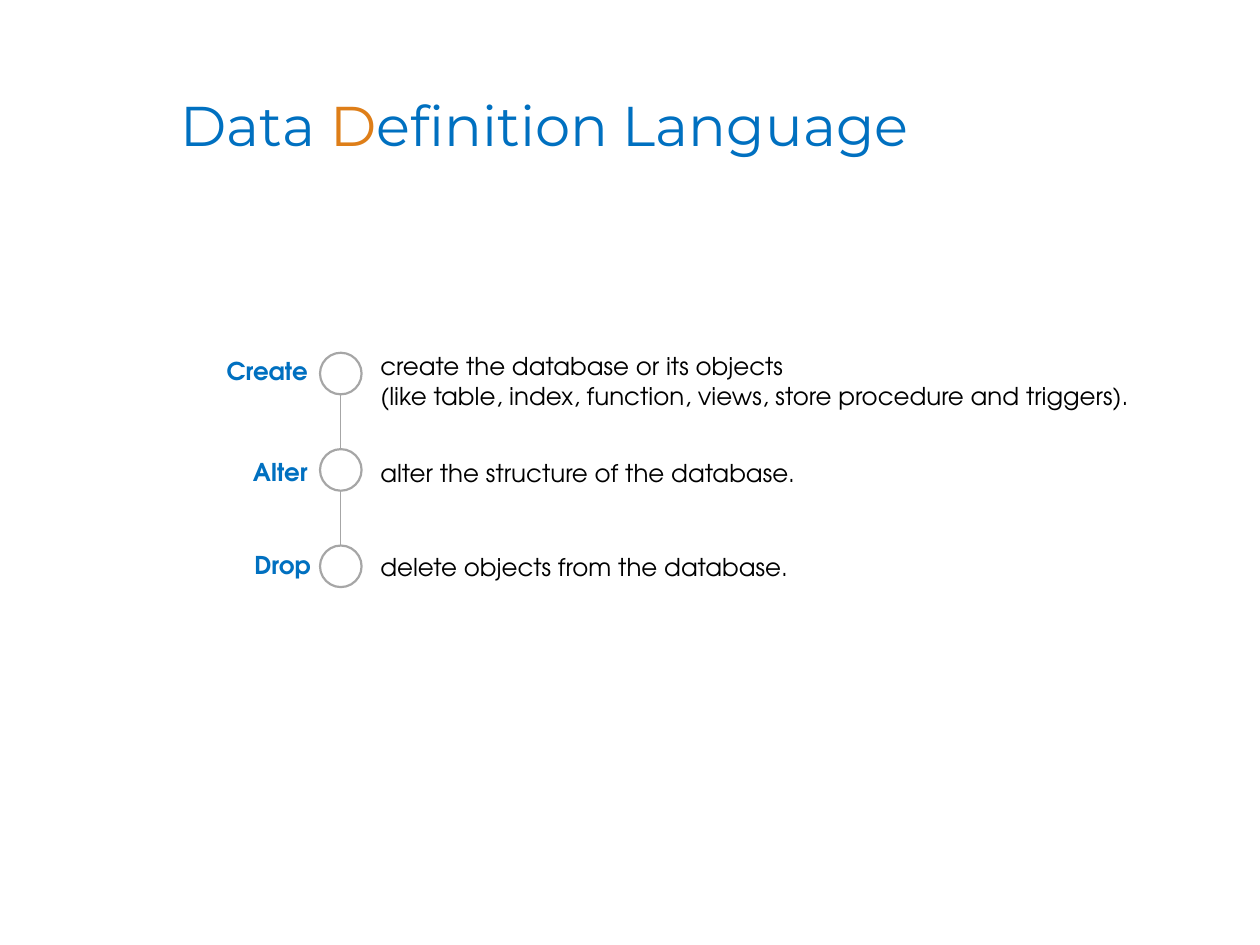
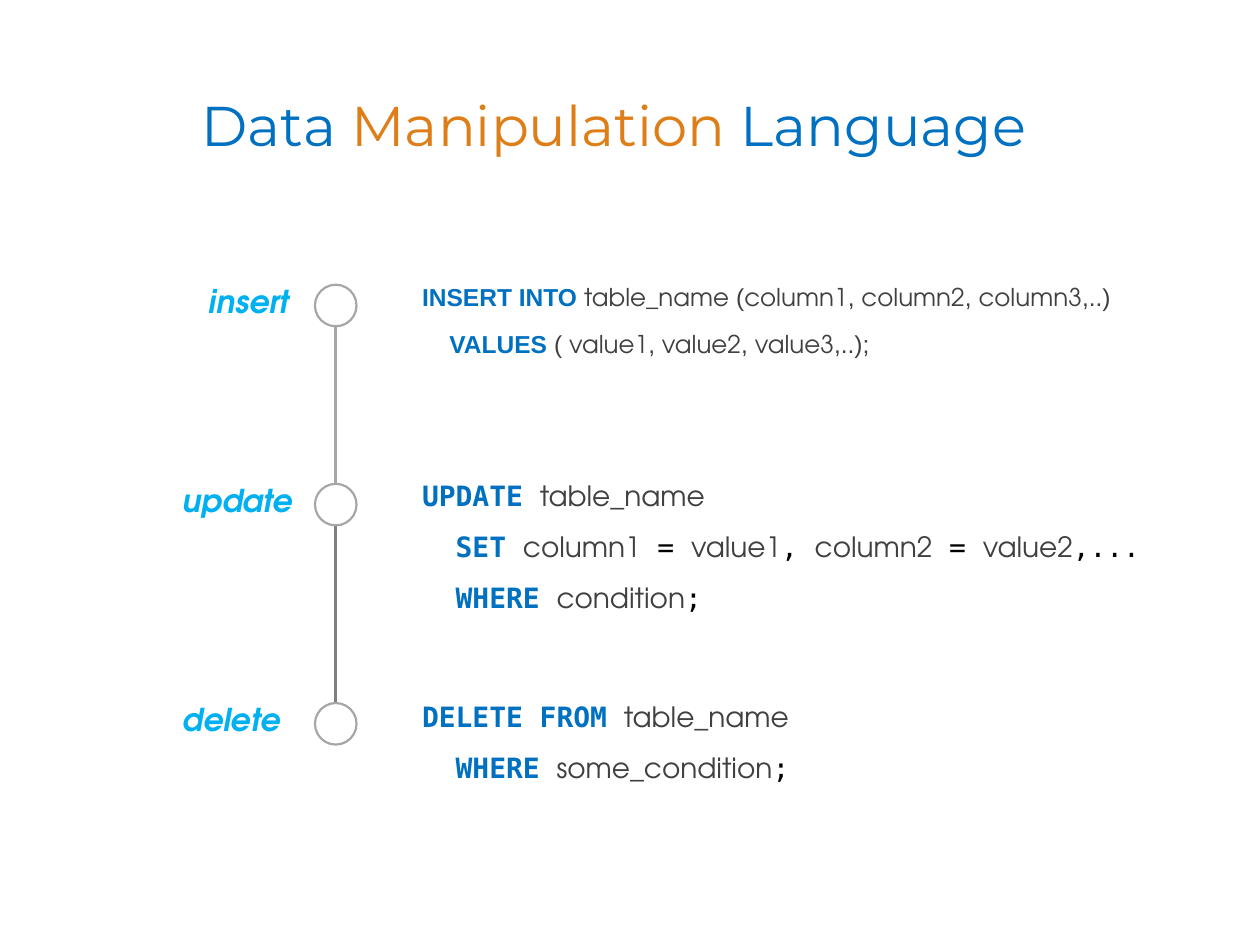
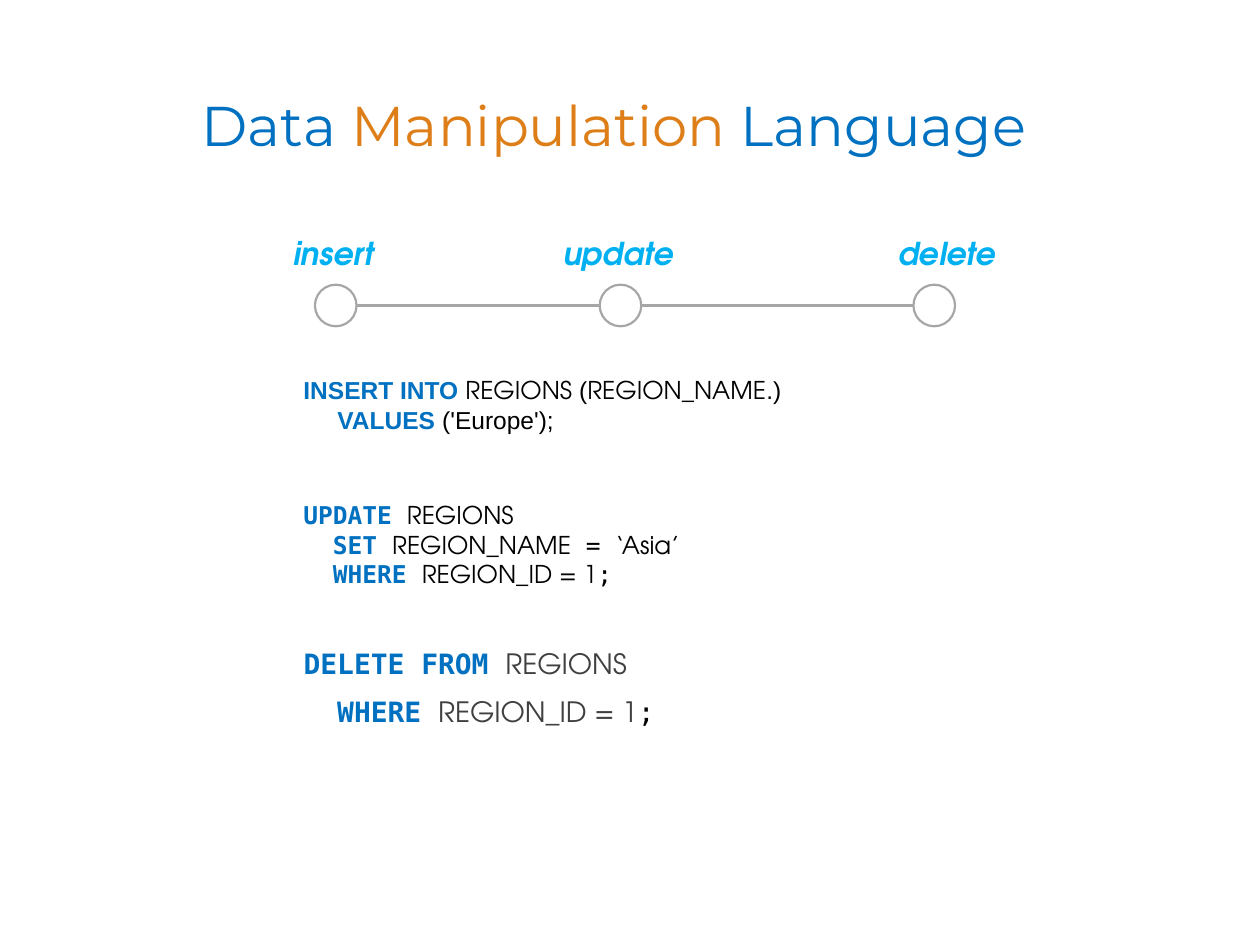
from collections import namedtuple

from lxml.etree import SubElement
from pptx import Presentation
from pptx.dml.color import RGBColor
from pptx.enum.shapes import MSO_CONNECTOR, MSO_SHAPE
from pptx.enum.text import MSO_ANCHOR, MSO_AUTO_SIZE, PP_ALIGN
from pptx.oxml.ns import qn
from pptx.util import Inches, Pt

# Shared colours, fonts and sizes
WHITE = RGBColor(0xFF, 0xFF, 0xFF)
BLACK = RGBColor(0x00, 0x00, 0x00)
DARK_GRAY = RGBColor(0x40, 0x40, 0x40)
MID_GRAY = RGBColor(0x7F, 0x7F, 0x7F)
LIGHT_GRAY = RGBColor(0xA6, 0xA6, 0xA6)
BLUE = RGBColor(0x00, 0x70, 0xC0)
SKY = RGBColor(0x00, 0xB0, 0xF0)
ORANGE = RGBColor(0xDE, 0x7E, 0x18)
TITLE_FONT = "Montserrat"
TEXT_FONT = "TeX Gyre Adventor"
SANS = "Arial"
MONO = "DejaVu Sans Mono"
NODE_SIZE = 0.33
HANG = 0.38

Box = namedtuple("Box", "left top width height")
# face is used for keywords and marks; gap is the space before the block
Code = namedtuple("Code", "face size name_color mark_color gap lines")
KEY, NAME, MARK = "key", "name", "mark"

DML_TITLE = [("Data ", BLUE), ("Manipulation", ORANGE), (" Language", BLUE)]
DML_TITLE_BOX = Box(1.5, 0.67, 7.21, 0.73)

INSERT_SYNTAX = Code(SANS, 14, DARK_GRAY, DARK_GRAY, 0, [
    [(KEY, "INSERT INTO "), (NAME, "table_name"), (MARK, " ("), (NAME, "column1"),
     (MARK, ", "), (NAME, "column2"), (MARK, ", "), (NAME, "column3"), (MARK, ",..)")],
    [(KEY, "    VALUES "), (MARK, "( "), (NAME, "value1"), (MARK, ", "),
     (NAME, "value2"), (MARK, ", "), (NAME, "value3"), (MARK, ",..);")],
])
UPDATE_SYNTAX = Code(MONO, 16, DARK_GRAY, BLACK, 68.5, [
    [(KEY, "UPDATE "), (NAME, "table_name")],
    [(KEY, "  SET "), (NAME, "column1"), (MARK, " = "), (NAME, "value1"),
     (MARK, ", "), (NAME, "column2"), (MARK, " = "), (NAME, "value2"), (MARK, ",...")],
    [(KEY, "  WHERE "), (NAME, "condition"), (MARK, ";")],
])
DELETE_SYNTAX = Code(MONO, 16, DARK_GRAY, BLACK, 48.5, [
    [(KEY, "DELETE FROM "), (NAME, "table_name")],
    [(KEY, "  WHERE "), (NAME, "some_condition"), (MARK, ";")],
])
INSERT_EXAMPLE = Code(SANS, 14, BLACK, BLACK, 0, [
    [(KEY, "INSERT INTO "), (NAME, "REGIONS"), (MARK, " ("),
     (NAME, "REGION_NAME"), (MARK, ".)")],
    [(KEY, "     VALUES "), (MARK, "('Europe');")],
])
UPDATE_EXAMPLE = Code(MONO, 14, BLACK, BLACK, 0, [
    [(KEY, "UPDATE "), (NAME, "REGIONS")],
    [(KEY, "  SET "), (NAME, "REGION_NAME"), (MARK, " = "), (NAME, "‘Asia’")],
    [(KEY, "  WHERE "), (NAME, "REGION_ID = 1"), (MARK, ";")],
])
DELETE_EXAMPLE = Code(MONO, 16, DARK_GRAY, BLACK, 0, [
    [(KEY, "DELETE FROM "), (NAME, "REGIONS")],
    [(KEY, "  WHERE "), (NAME, "REGION_ID = 1"), (MARK, ";")],
])


def style(font, face, size, color, bold=False, italic=False):
    font.name, font.size = face, Pt(size)
    font.bold, font.italic = bold, italic
    font.color.rgb = color


def add_span(para, text, face, size, color, bold=False):
    span = para.add_run()
    span.text = text
    style(span.font, face, size, color, bold)


def place(shape, box):
    shape.left, shape.top, shape.width, shape.height = map(Inches, box)


def prepare_placeholder(holder, box):
    place(holder, box)
    frame = holder.text_frame
    frame.auto_size = MSO_AUTO_SIZE.NONE
    frame.vertical_anchor = MSO_ANCHOR.TOP
    frame.word_wrap = True
    return frame


def add_title(slide, box, parts):
    para = prepare_placeholder(slide.shapes.title, box).paragraphs[0]
    para.alignment = PP_ALIGN.LEFT
    for text, color in parts:
        add_span(para, text, TITLE_FONT, 32, color)


def add_text_frame(slide, box):
    frame = slide.shapes.add_textbox(*map(Inches, box)).text_frame
    frame.word_wrap = True
    frame.auto_size = MSO_AUTO_SIZE.SHAPE_TO_FIT_TEXT
    return frame


def add_text(slide, box, text, size, color, bold=False, italic=False):
    frame = add_text_frame(slide, box)
    frame.text = text
    for para in frame.paragraphs:
        for span in para.runs:
            style(span.font, TEXT_FONT, size, color, bold, italic)


def add_command(slide, box, name):
    add_text(slide, box, name, 18, SKY, bold=True, italic=True)


def add_node(slide, left, top):
    node = slide.shapes.add_shape(MSO_SHAPE.FLOWCHART_CONNECTOR,
                                  *map(Inches, (left, top, NODE_SIZE, NODE_SIZE)))
    node.shadow.inherit = False
    node.fill.solid()
    node.fill.fore_color.rgb = WHITE
    node.line.color.rgb = LIGHT_GRAY
    node.line.width = Pt(1.25)


def add_line(slide, start, end, color=LIGHT_GRAY, width=1.5):
    line = slide.shapes.add_connector(MSO_CONNECTOR.STRAIGHT,
                                      *map(Inches, (*start, *end)))
    line.line.color.rgb = color
    line.line.width = Pt(width)
    SubElement(line._element.spPr, qn("a:effectLst"))


def write_code(frame, blocks, line_gap=0):
    """Write the code blocks, one paragraph to a code line."""
    paras = []
    for block in blocks:
        for number, line in enumerate(block.lines):
            para = frame.add_paragraph() if paras else frame.paragraphs[0]
            gap = block.gap if number == 0 else line_gap
            para.space_before = Pt(gap)
            for kind, text in line:
                face = TEXT_FONT if kind == NAME else block.face
                color = {KEY: BLUE, NAME: block.name_color, MARK: block.mark_color}[kind]
                add_span(para, text, face, block.size, color, kind == KEY)
            paras.append(para)
    return paras


def add_code_body(slide, box, blocks, line_spacing=1.0):
    frame = prepare_placeholder(slide.placeholders[1], box)
    for para in write_code(frame, blocks, line_gap=10):
        para.line_spacing = line_spacing
        properties = para._p.get_or_add_pPr()
        properties.set("marL", str(Inches(HANG)))
        properties.set("indent", str(-Inches(HANG)))
        SubElement(properties, qn("a:buNone"))


def add_code_box(slide, box, block):
    write_code(add_text_frame(slide, box), [block])


def add_definition_list(slide, box, rows):
    """Nodes at equal steps, a label to the left and a text to the right."""
    step = (box.height - NODE_SIZE) / (len(rows) - 1)
    node_left = box.left + 0.84
    center = node_left + NODE_SIZE / 2
    text_left = node_left + 0.38
    text_width = box.left + box.width - text_left
    add_line(slide, (center, box.top + NODE_SIZE),
             (center, box.top + box.height - NODE_SIZE), width=0.75)
    for number, (label, indent, label_shift, text, text_shift, height) in enumerate(rows):
        top = box.top + number * step
        add_node(slide, node_left, top)
        add_text(slide, Box(box.left + indent, top + label_shift, 1, 0.34),
                 label, 14, BLUE, bold=True)
        add_text(slide, Box(text_left, top + text_shift, text_width, height),
                 text, 14, BLACK)


def add_vertical_timeline(slide, box, commands, line_colors):
    """Nodes down the right edge of the box, with a command beside each."""
    node_left = box.left + box.width - NODE_SIZE
    center = node_left + NODE_SIZE / 2
    for (_, _, _, start), (_, _, _, end), color in zip(commands, commands[1:], line_colors):
        add_line(slide, (center, box.top + start + NODE_SIZE),
                 (center, box.top + end), color)
    for name, indent, width, offset in commands:
        add_node(slide, node_left, box.top + offset)
        add_command(slide, Box(box.left + indent, box.top + offset - 0.07, width, 0.4), name)


def add_horizontal_timeline(slide, box, commands):
    """Nodes along the bottom edge of the box, with a command above each."""
    node_top = box.top + box.height - NODE_SIZE
    middle = node_top + NODE_SIZE / 2
    first, last = commands[0][1], commands[-1][1]
    add_line(slide, (box.left + first + NODE_SIZE, middle), (box.left + last, middle))
    for name, node_offset, label_offset, width in commands:
        add_node(slide, box.left + node_offset, node_top)
        add_command(slide, Box(box.left + label_offset, box.top, width, 0.4), name)


def build_definition_slide(deck):
    slide = deck.slides.add_slide(deck.slide_layouts[5])
    add_title(slide, Box(1.33, 0.67, 7.04, 0.73),
              [("Data ", BLUE), ("D", ORANGE), ("efinition Language", BLUE)])
    # label, label indent, label shift, text, text shift, text height
    add_definition_list(slide, Box(1.7, 2.8, 7.64, 1.86), [
        ("Create", 0, -0.02, "create the database or its objects\n"
         "(like table, index, function, views, store procedure and triggers).", -0.06, 0.57),
        ("Alter", 0.21, 0.01, "alter the structure of the database.", 0.02, 0.34),
        ("Drop", 0.22, -0.01, "delete objects from the database.", 0, 0.34),
    ])


def build_syntax_slide(deck):
    slide = deck.slides.add_slide(deck.slide_layouts[1])
    add_title(slide, DML_TITLE_BOX, DML_TITLE)
    add_code_body(slide, Box(3.25, 2.19, 6.58, 4.89),
                  [INSERT_SYNTAX, UPDATE_SYNTAX, DELETE_SYNTAX])
    # command, label indent, label width, node offset
    add_vertical_timeline(slide, Box(1.35, 2.26, 1.48, 3.65), [
        ("insert", 0.21, 0.9, 0),
        ("update", 0, 1.15, 1.58),
        ("delete", 0, 1.15, 3.32),
    ], [LIGHT_GRAY, MID_GRAY])


def build_example_slide(deck):
    slide = deck.slides.add_slide(deck.slide_layouts[1])
    add_title(slide, DML_TITLE_BOX, DML_TITLE)
    add_code_body(slide, Box(2.31, 5.11, 6.58, 0.75), [DELETE_EXAMPLE], line_spacing=0.9)
    # command, node offset, label offset, label width
    add_horizontal_timeline(slide, Box(2.23, 1.81, 5.91, 0.78), [
        ("insert", 0.27, 0, 0.9),
        ("update", 2.53, 2.14, 1.15),
        ("delete", 5.02, 4.8, 1.15),
    ])
    add_code_box(slide, Box(2.31, 2.93, 6.77, 0.57), INSERT_EXAMPLE)
    add_code_box(slide, Box(2.31, 3.92, 5, 0.8), UPDATE_EXAMPLE)


def main():
    deck = Presentation()
    deck.slide_width, deck.slide_height = Inches(10), Inches(7.5)
    build_definition_slide(deck)
    build_syntax_slide(deck)
    build_example_slide(deck)
    deck.save("out.pptx")


if __name__ == "__main__":
    main()
